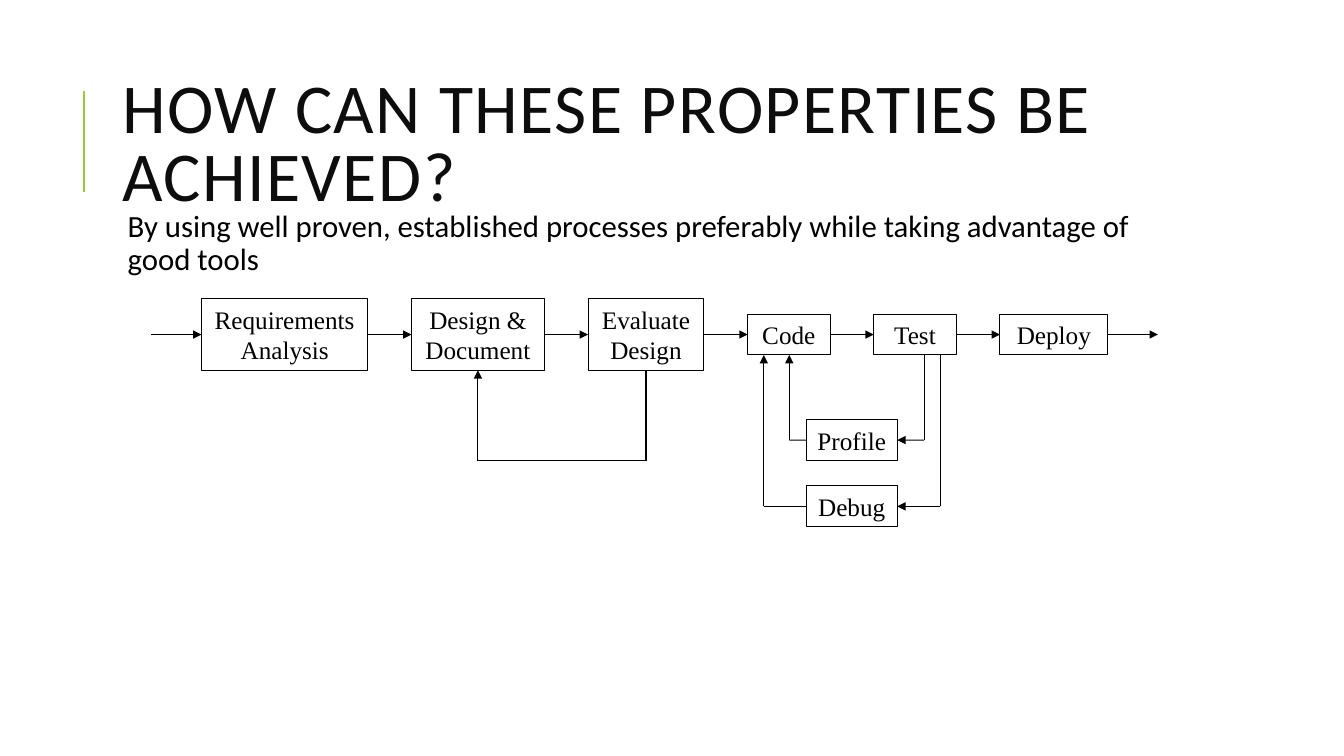
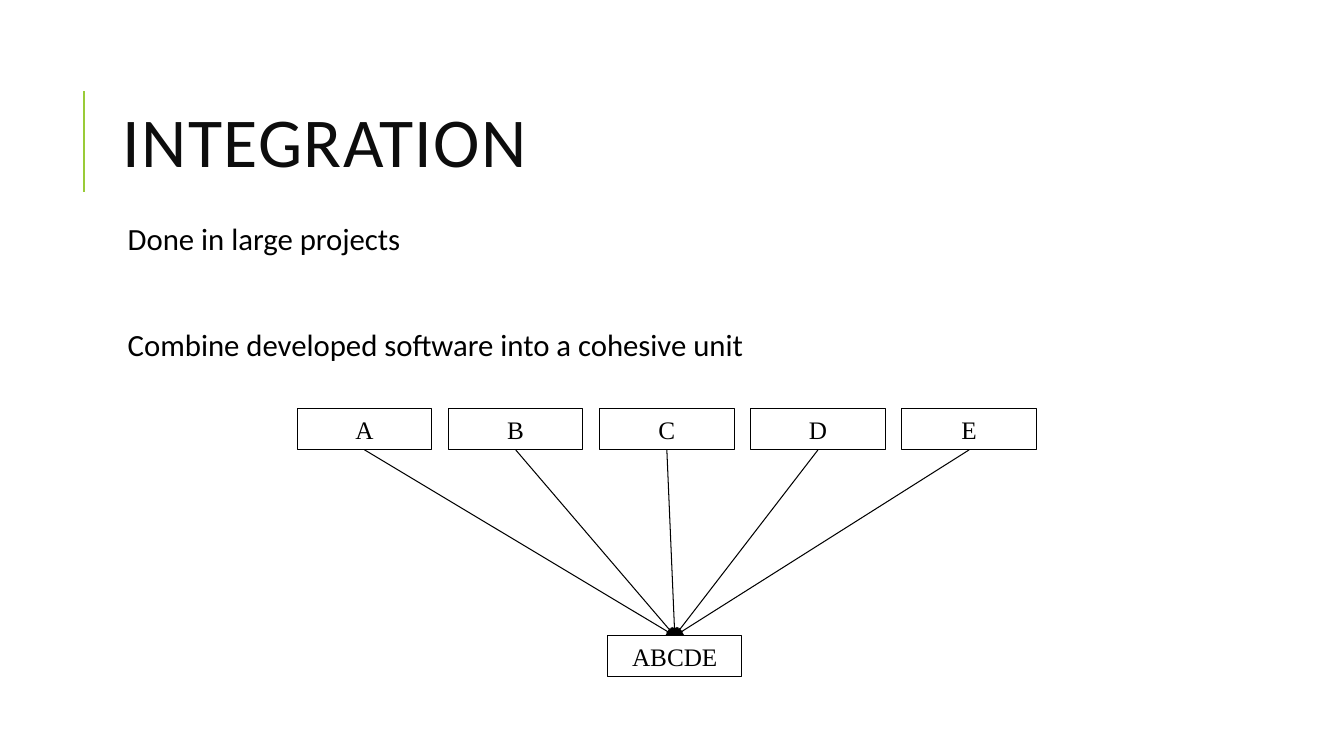
"""Build two slides on software processes and integration."""

import dataclasses
import itertools
import typing

import lxml.etree
import pptx
import pptx.dml.color
import pptx.enum.shapes
import pptx.enum.text
import pptx.oxml.ns
import pptx.shapes.autoshape
import pptx.slide
import pptx.text.text
import pptx.util

Cm = pptx.util.Cm
Pt = pptx.util.Pt
Shape = pptx.shapes.autoshape.Shape
Slide = pptx.slide.Slide

BLACK = "000000"
TITLE_COLOUR = "0D0D0D"
ACCENT = "99CB38"
SANS = "Calibri"
SERIF = "Times New Roman"
TOP, LEFT, BOTTOM, RIGHT = range(4)

TALL, SHORT = 1.8, 1.03
FLOW_MIDDLE = 8.43
FLOW_START, FLOW_GAP = 5.08, 1.1
UNIT_WIDTH, UNIT_PITCH = 3.39, 3.81


class Point(typing.NamedTuple):
    x: float
    y: float


class Side(typing.NamedTuple):
    shape: Shape
    site: int


End = Point | Side


@dataclasses.dataclass(frozen=True)
class Step:
    label: str
    width: float
    height: float


@dataclasses.dataclass(frozen=True)
class Loop:
    label: str
    middle: float
    down_x: float
    up_x: float


STEPS = (
    Step("Requirements Analysis", 4.19, TALL),
    Step("Design & Document", 3.35, TALL),
    Step("Evaluate Design", 2.92, TALL),
    Step("Code", 2.08, SHORT),
    Step("Test", 2.08, SHORT),
    Step("Deploy", 2.72, SHORT),
)
LOOPS = (
    Loop("Profile", 11.09, 23.29, 19.89),
    Loop("Debug", 12.76, 23.7, 19.25),
)


def colour(value: str) -> pptx.dml.color.RGBColor:
    return pptx.dml.color.RGBColor.from_string(value)


def style(para: pptx.text.text._Paragraph, face: str, size: float, ink: str) -> None:
    para.font.name = face
    para.font.size = Pt(size)
    para.font.color.rgb = colour(ink)


def draw_line(slide: Slide, start: End, end: End, arrow: bool = False,
              ink: str = BLACK, weight: float = 0.75) -> None:
    begin = start if isinstance(start, Point) else Point(0, 0)
    finish = end if isinstance(end, Point) else Point(0, 0)
    connector = slide.shapes.add_connector(
        pptx.enum.shapes.MSO_CONNECTOR.STRAIGHT,
        Cm(begin.x), Cm(begin.y), Cm(finish.x), Cm(finish.y))
    if isinstance(start, Side):
        connector.begin_connect(start.shape, start.site)
    if isinstance(end, Side):
        connector.end_connect(end.shape, end.site)
    connector.line.color.rgb = colour(ink)
    connector.line.width = Pt(weight)
    qn = pptx.oxml.ns.qn
    properties = connector._element.spPr
    if arrow:
        outline = properties.find(qn("a:ln"))
        lxml.etree.SubElement(outline, qn("a:tailEnd"), type="triangle")
    lxml.etree.SubElement(properties, qn("a:effectLst"))


def draw_route(slide: Slide, *ends: End) -> None:
    last = len(ends) - 2
    for index, (start, end) in enumerate(itertools.pairwise(ends)):
        draw_line(slide, start, end, arrow=index == last)


def draw_box(slide: Slide, label: str, left: float, middle: float,
             width: float, height: float = SHORT) -> Shape:
    box = slide.shapes.add_shape(
        pptx.enum.shapes.MSO_SHAPE.RECTANGLE,
        Cm(left), Cm(middle - height / 2), Cm(width), Cm(height))
    box.shadow.inherit = False
    box.fill.background()
    box.line.color.rgb = colour(BLACK)
    box.line.width = Pt(0.75)
    frame = box.text_frame
    frame.word_wrap = True
    frame.vertical_anchor = pptx.enum.text.MSO_ANCHOR.MIDDLE
    frame.margin_left = frame.margin_right = Cm(0.25)
    frame.margin_top = frame.margin_bottom = Cm(0.13)
    para = frame.paragraphs[0]
    para.text = label
    para.alignment = pptx.enum.text.PP_ALIGN.CENTER
    style(para, SERIF, 18, BLACK)
    return box


def add_page(deck: pptx.presentation.Presentation, title: str) -> Slide:
    slide = deck.slides.add_slide(deck.slide_layouts[6])
    draw_line(slide, Point(2.11, 4.83), Point(2.11, 2.29), ink=ACCENT, weight=1.5)
    box = slide.shapes.add_textbox(Cm(2.84), Cm(1.63), Cm(27), Cm(4.17))
    frame = box.text_frame
    frame.word_wrap = True
    frame.vertical_anchor = pptx.enum.text.MSO_ANCHOR.MIDDLE
    para = frame.paragraphs[0]
    para.text = title
    para.line_spacing = 0.8
    style(para, SANS, 50, TITLE_COLOUR)
    para.font._element.set("spc", "100")
    return slide


def add_body(slide: Slide, top: float, height: float, *lines: str) -> None:
    box = slide.shapes.add_textbox(Cm(2.84), Cm(top), Cm(27), Cm(height))
    frame = box.text_frame
    frame.word_wrap = True
    frame.margin_left = Cm(0.38)
    frame.margin_top = frame.margin_right = frame.margin_bottom = Cm(0.13)
    for index, line in enumerate(lines):
        para = frame.add_paragraph() if index else frame.paragraphs[0]
        para.text = line
        para.line_spacing = 0.9
        para.space_before = Pt(50 if index else 0)
        para.space_after = Pt(2)
        style(para, SANS, 22, BLACK)


def build_process(deck: pptx.presentation.Presentation) -> None:
    slide = add_page(deck, "HOW CAN THESE PROPERTIES BE ACHIEVED?")
    add_body(slide, 5.18, 12.34,
             "By using well proven, established processes preferably while "
             "taking advantage of good tools")
    boxes: list[Shape] = []
    left = FLOW_START
    for step in STEPS:
        boxes.append(draw_box(slide, step.label, left, FLOW_MIDDLE, step.width, step.height))
        left += step.width + FLOW_GAP

    draw_route(slide, Point(3.81, FLOW_MIDDLE), Side(boxes[0], LEFT))
    for before, after in itertools.pairwise(boxes):
        draw_route(slide, Side(before, RIGHT), Side(after, LEFT))
    draw_route(slide, Side(boxes[-1], RIGHT), Point(29.18, FLOW_MIDDLE))

    design, evaluate = boxes[1:3]
    turn = 11.61
    centres = [(box.left + box.width / 2) / Cm(1) for box in (evaluate, design)]
    draw_route(slide, Side(evaluate, BOTTOM), *(Point(x, turn) for x in centres),
               Side(design, BOTTOM))

    under = FLOW_MIDDLE + SHORT / 2
    for loop in LOOPS:
        box = draw_box(slide, loop.label, 20.32, loop.middle, 2.29)
        draw_route(slide, Point(loop.down_x, under), Point(loop.down_x, loop.middle),
                   Side(box, RIGHT))
        draw_route(slide, Side(box, LEFT), Point(loop.up_x, loop.middle),
                   Point(loop.up_x, under))


def build_integration(deck: pptx.presentation.Presentation) -> None:
    slide = add_page(deck, "INTEGRATION")
    add_body(slide, 5.51, 12.01, "Done in large projects",
             "Combine developed software into a cohesive unit")
    whole = draw_box(slide, "ABCDE", 15.31, 16.54, UNIT_WIDTH)
    for index, label in enumerate("ABCDE"):
        unit = draw_box(slide, label, 7.49 + index * UNIT_PITCH, 10.82, UNIT_WIDTH)
        draw_route(slide, Side(unit, BOTTOM), Side(whole, TOP))


def main() -> None:
    deck = pptx.Presentation()
    deck.slide_width = Cm(33.87)
    deck.slide_height = Cm(19.05)
    build_process(deck)
    build_integration(deck)
    deck.save("out.pptx")


if __name__ == "__main__":
    main()
